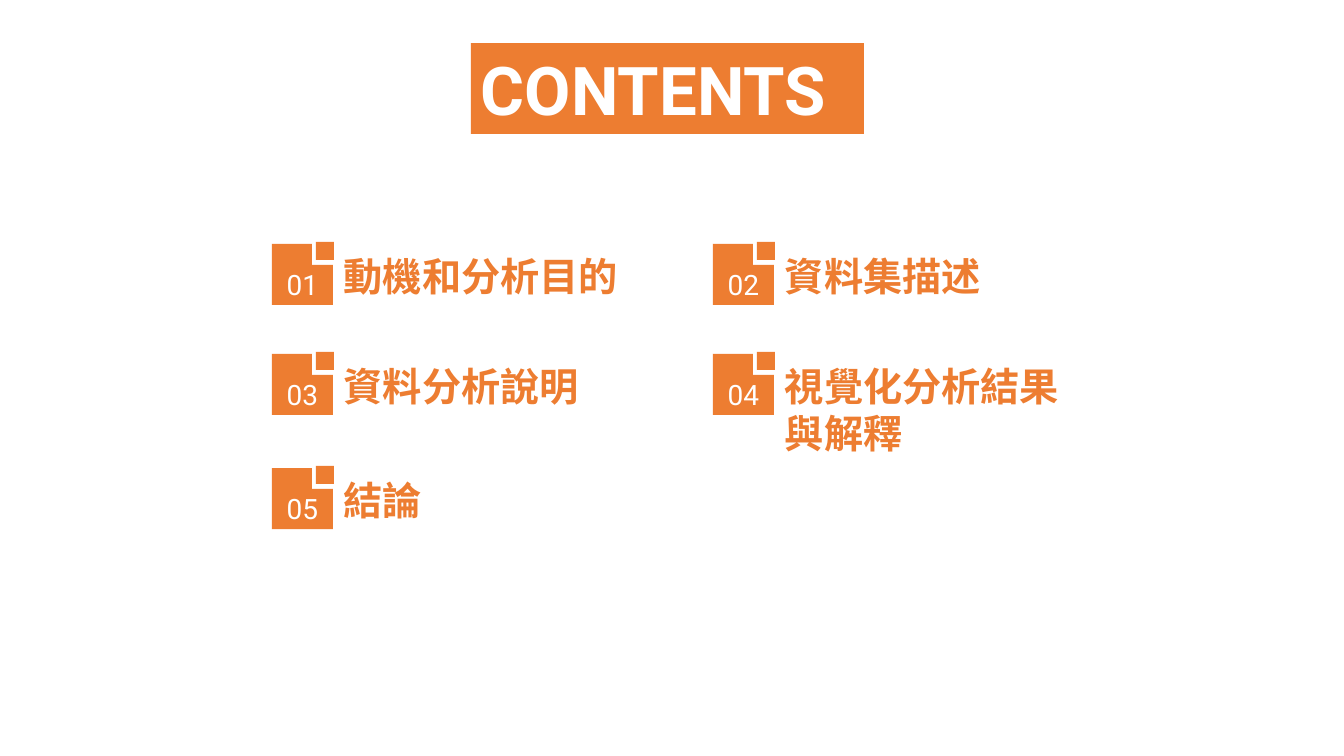
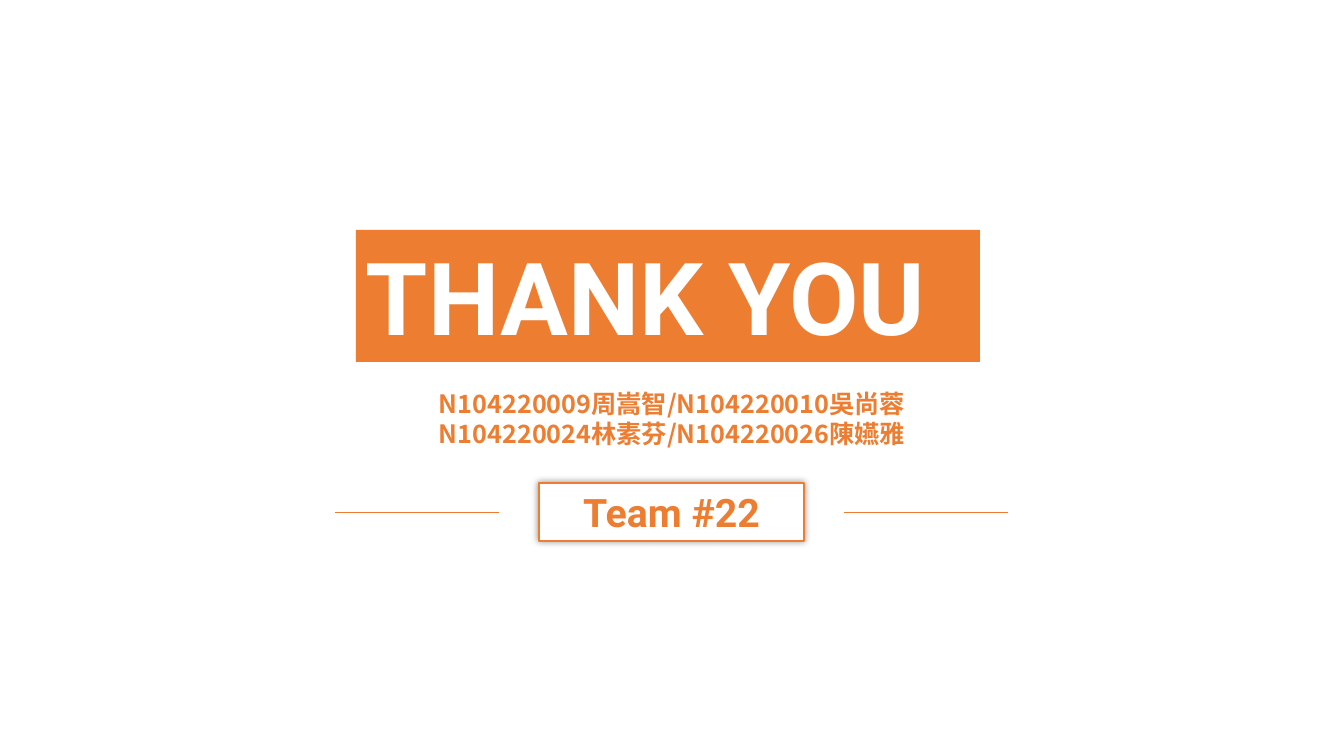
from lxml.etree import SubElement
from pptx import Presentation
from pptx.dml.color import RGBColor
from pptx.enum.shapes import MSO_CONNECTOR, MSO_SHAPE
from pptx.enum.text import MSO_ANCHOR, PP_ALIGN
from pptx.oxml.ns import qn
from pptx.util import Inches, Pt

PX = Inches(1) / 100.8
COLORS = {"accent": "ED7D31", "paper": "FFFFFF", "shadow": "000000"}
LATIN, CJK = "Roboto", "Noto Sans CJK SC"

TOPICS = ["動機和分析目的", "資料集描述", "資料分析說明", "視覺化分析結果與解釋", "結論"]
TOPIC_COLUMNS = [272, 713]
TOPIC_ROWS = [242, 352, 466]
MEMBERS = ["N104220009周嵩智/N104220010吳尚蓉", "N104220024林素芬/N104220026陳嬿雅"]


def px(*lengths):
    return [round(length * PX) for length in lengths]


def color(name):
    return RGBColor.from_string(COLORS[name])


def paint(shape, fill="accent"):
    """Give a shape a flat fill without line or shadow."""
    shape.shadow.inherit = False
    shape.fill.solid()
    shape.fill.fore_color.rgb = color(fill)
    shape.line.fill.background()
    return shape


def add_box(shapes, box, fill="accent"):
    return paint(shapes.add_shape(MSO_SHAPE.RECTANGLE, *px(*box)), fill)


def write(shape, lines, size, font, ink="accent", bold=True,
          align=PP_ALIGN.LEFT, anchor=MSO_ANCHOR.TOP):
    frame = shape.text_frame
    frame.word_wrap = True
    frame.vertical_anchor = anchor
    for index, line in enumerate(lines):
        paragraph = frame.add_paragraph() if index else frame.paragraphs[0]
        paragraph.alignment = align
        run = paragraph.add_run()
        run.text = line
        run.font.size = Pt(size)
        run.font.bold = bold
        run.font.color.rgb = color(ink)
        run.font.name = font
        SubElement(run.font._element, qn("a:ea"), typeface=font)


def add_banner(slide, box, title, size):
    write(add_box(slide.shapes, box), [title], size, LATIN, "paper")


def add_topic(slide, left, top, number, topic, label_height):
    """Place a numbered, notched tile with its topic to the right."""
    shapes = slide.shapes.add_group_shape().shapes

    label = shapes.add_textbox(*px(left + 62, top + 5, 304, label_height))
    write(label, [topic], 28, CJK)

    tile_top, side, notch_x, notch_y = top + 2, 61, 40, 21
    outline = shapes.build_freeform(left, tile_top, scale=PX)
    outline.add_line_segments([
        (left + notch_x, tile_top),
        (left + notch_x, tile_top + notch_y),
        (left + side, tile_top + notch_y),
        (left + side, tile_top + side),
        (left, tile_top + side),
    ], close=True)
    tile = paint(outline.convert_to_shape())
    frame = tile.text_frame
    frame.margin_left = frame.margin_right = frame.margin_bottom = 0
    frame.margin_top = px(20)[0]
    write(tile, [f"{number:02}"], 20, LATIN, "paper", False,
          PP_ALIGN.CENTER, MSO_ANCHOR.MIDDLE)

    add_box(shapes, (left + 44, top, 18, 18))


def add_glow(shape):
    """Add a soft shadow on all sides."""
    effects = shape._element.spPr.find(qn("a:effectLst"))
    glow = SubElement(effects, qn("a:outerShdw"), blurRad=str(Pt(5)), dist="0",
                      dir="0", algn="ctr", rotWithShape="0")
    shade = SubElement(glow, qn("a:srgbClr"), val=COLORS["shadow"])
    SubElement(shade, qn("a:alpha"), val="40000")


def add_rule(slide, left, y, width):
    rule = slide.shapes.add_connector(
        MSO_CONNECTOR.STRAIGHT, *px(left, y, left + width, y))
    rule.line.color.rgb = color("accent")
    rule.line.width = Pt(0.5)
    SubElement(rule._element.spPr, qn("a:effectLst"))


def add_team_badge(slide, left, top, width, height):
    """Place the framed team name between two rules."""
    badge = add_box(slide.shapes, (left, top, width, height), "paper")
    badge.line.color.rgb = color("accent")
    badge.line.width = Pt(1.5)
    add_glow(badge)
    write(badge, ["Team #22"], 28, LATIN, align=PP_ALIGN.CENTER)

    gap, rule_width, middle = 40, 164, top + height // 2
    add_rule(slide, left - gap - rule_width, middle, rule_width)
    add_rule(slide, left + width + gap, middle, rule_width)


def build_contents(slide):
    add_banner(slide, (471, 43, 393, 91), "CONTENTS", 48)
    for index, topic in enumerate(TOPICS):
        row, column = divmod(index, len(TOPIC_COLUMNS))
        label_height = 105 if len(topic) > 7 else 57
        add_topic(slide, TOPIC_COLUMNS[column], TOPIC_ROWS[row],
                  index + 1, topic, label_height)


def build_closing(slide):
    add_banner(slide, (356, 230, 624, 132), "THANK YOU", 72)
    members = slide.shapes.add_textbox(*px(322, 383, 700, 72))
    write(members, MEMBERS, 18, CJK, align=PP_ALIGN.CENTER)
    add_team_badge(slide, 539, 483, 265, 58)


def main():
    deck = Presentation()
    deck.slide_width, deck.slide_height = px(1344, 756)
    for build in (build_contents, build_closing):
        build(deck.slides.add_slide(deck.slide_layouts[6]))
    deck.save("out.pptx")


if __name__ == "__main__":
    main()
